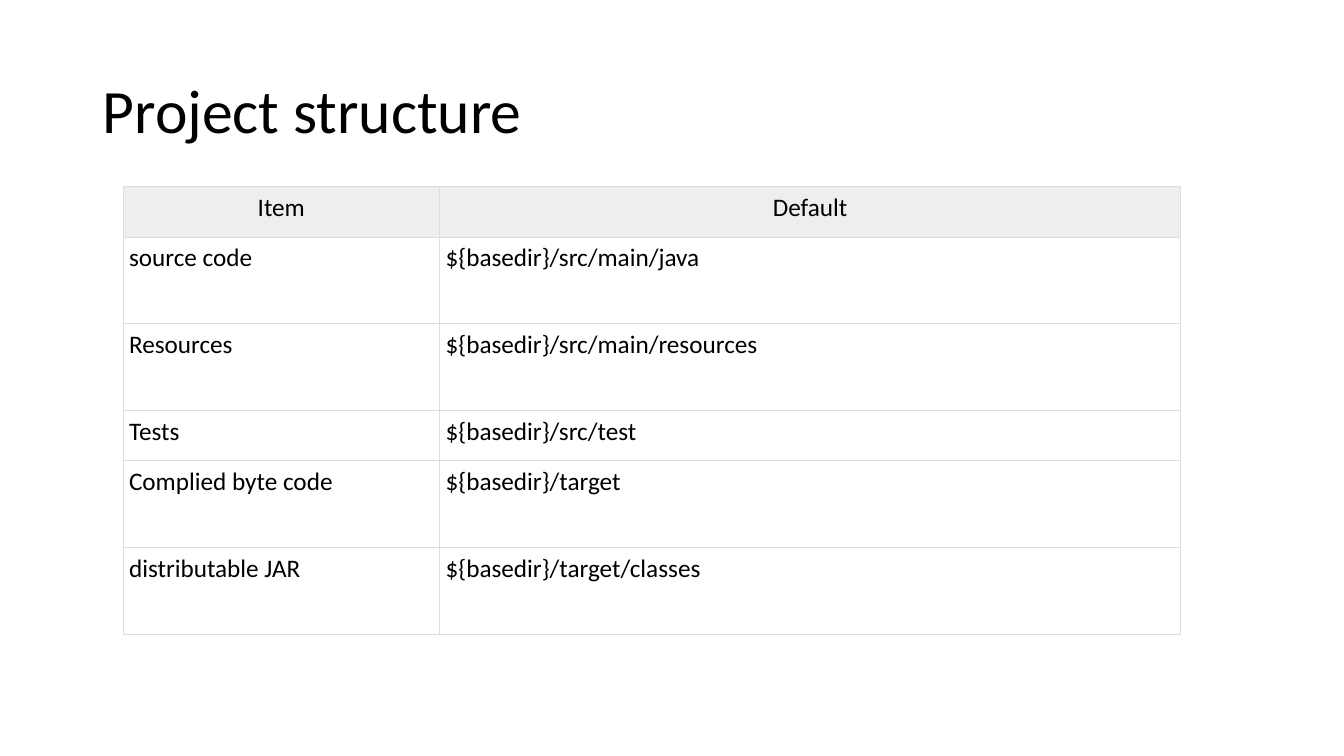
import pptx
import pptx.dml.color
import pptx.enum.text
import pptx.oxml
import pptx.oxml.ns
import pptx.util

Inches = pptx.util.Inches
Pt = pptx.util.Pt
RGBColor = pptx.dml.color.RGBColor
Align = pptx.enum.text.PP_ALIGN

BLACK = RGBColor(0x00, 0x00, 0x00)
HEADER_GREY = RGBColor(0xEE, 0xEE, 0xEE)
BORDER_GREY = RGBColor(0xDD, 0xDD, 0xDD)

STRUCTURE = [
    ("Item", "Default"),
    ("source code", "${basedir}/src/main/java"),
    ("Resources", "${basedir}/src/main/resources"),
    ("Tests", "${basedir}/src/test"),
    ("Complied byte code", "${basedir}/target"),
    ("distributable JAR", "${basedir}/target/classes"),
]
COLUMN_WIDTHS = [3.14, 7.35]
SHORT, TALL = 0.5, 0.86
ROW_HEIGHTS = [SHORT, TALL, TALL, SHORT, TALL, TALL]


class SlideBuilder:
    font_name = "Calibri"
    title_size = 44
    cell_size = 18
    cell_margin = 0.06
    border_width = 0.5

    def __init__(self, slide):
        self.slide = slide

    def style(self, paragraph, size, align):
        paragraph.alignment = align
        font = paragraph.font
        font.name = self.font_name
        font.size = Pt(size)
        font.bold = False
        font.color.rgb = BLACK

    def title(self, text, left, top, width, height):
        heading = self.slide.shapes.title
        heading.left, heading.top = Inches(left), Inches(top)
        heading.width, heading.height = Inches(width), Inches(height)
        frame = heading.text_frame
        frame.text = text
        frame.vertical_anchor = pptx.enum.text.MSO_ANCHOR.MIDDLE
        paragraph = frame.paragraphs[0]
        paragraph.line_spacing = 0.9
        self.style(paragraph, self.title_size, Align.LEFT)

    def borders(self, cell):
        properties = cell._tc.get_or_add_tcPr()
        for side in ("lnL", "lnR", "lnT", "lnB"):
            properties.append(pptx.oxml.parse_xml(
                f'<a:{side} {pptx.oxml.ns.nsdecls("a")} w="{Pt(self.border_width)}">'
                f'<a:solidFill><a:srgbClr val="{BORDER_GREY}"/></a:solidFill>'
                f'</a:{side}>'))

    def cell(self, cell, text, is_header):
        cell.text = text
        cell.margin_left = cell.margin_right = Inches(self.cell_margin)
        cell.margin_top = cell.margin_bottom = Inches(self.cell_margin)
        self.borders(cell)
        if is_header:
            cell.fill.solid()
            cell.fill.fore_color.rgb = HEADER_GREY
        else:
            cell.fill.background()
        align = Align.CENTER if is_header else Align.LEFT
        self.style(cell.text_frame.paragraphs[0], self.cell_size, align)

    def table(self, rows, left, top, widths, heights):
        table = self.slide.shapes.add_table(
            len(rows), len(widths), Inches(left), Inches(top),
            Inches(sum(widths)), Inches(sum(heights))).table
        table.horz_banding = False
        for column, width in zip(table.columns, widths):
            column.width = Inches(width)
        for row_index, (row, height) in enumerate(zip(rows, heights)):
            table.rows[row_index].height = Inches(height)
            for column_index, text in enumerate(row):
                self.cell(table.cell(row_index, column_index), text, row_index == 0)


def main():
    presentation = pptx.Presentation()
    presentation.slide_width = Inches(13.33)
    presentation.slide_height = Inches(7.5)
    title_only = presentation.slide_layouts[5]
    builder = SlideBuilder(presentation.slides.add_slide(title_only))
    builder.title("Project structure", 0.92, 0.4, 11.5, 1.45)
    builder.table(STRUCTURE, 1.22, 1.85, COLUMN_WIDTHS, ROW_HEIGHTS)
    presentation.save("out.pptx")


if __name__ == "__main__":
    main()
